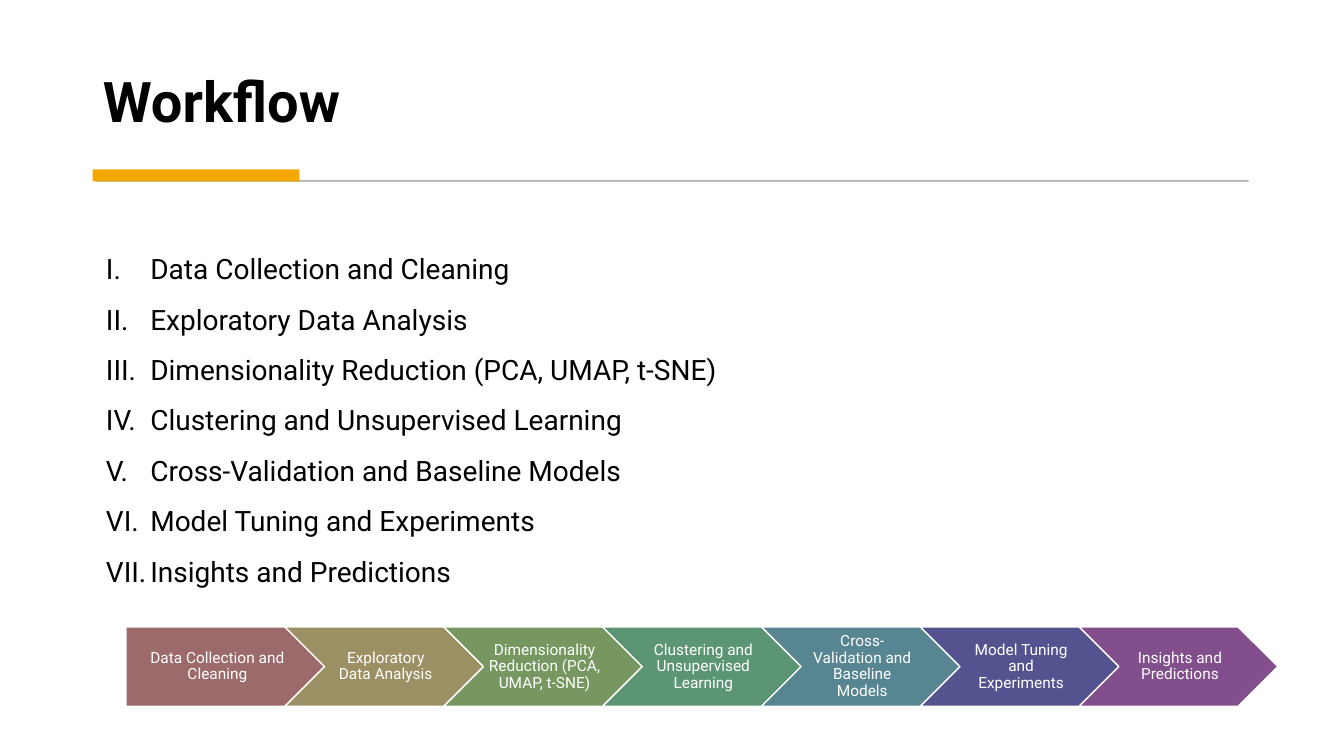
"""Build the Workflow slide: a numbered list of steps above a chain of arrows."""
import lxml.etree
import pptx
import pptx.dml.color
import pptx.enum.shapes
import pptx.enum.text
import pptx.oxml.ns
import pptx.util

STEPS = [
    ("Data Collection and Cleaning", "9C6A6A"),
    ("Exploratory Data Analysis", "9B9064"),
    ("Dimensionality Reduction (PCA, UMAP, t-SNE)", "769860"),
    ("Clustering and Unsupervised Learning", "5B9574"),
    ("Cross-Validation and Baseline Models", "578592"),
    ("Model Tuning and Experiments", "55538F"),
    ("Insights and Predictions", "824F8C"),
]
ARROW_LEFT, ARROW_PITCH = 9.38, 11.82
SHAPES = pptx.enum.shapes.MSO_SHAPE
ANCHOR = pptx.enum.text.MSO_ANCHOR
ALIGN = pptx.enum.text.PP_ALIGN
qn = pptx.oxml.ns.qn

deck = pptx.Presentation()
deck.slide_width = pptx.util.Inches(13.33)
deck.slide_height = pptx.util.Inches(7.5)
slide = deck.slides.add_slide(deck.slide_layouts[1])


def paint(color_format, hex_color):
    color_format.rgb = pptx.dml.color.RGBColor.from_string(hex_color)


def share(left, top, width, height):
    """Turn percentages of the slide into left, top, width and height."""
    across, down = deck.slide_width / 100, deck.slide_height / 100
    return [int(n) for n in (left * across, top * down, width * across, height * down)]


heading, agenda = slide.placeholders
heading.left, heading.top, heading.width, heading.height = share(6.9, 3.73, 86.2, 14.8)
heading.text_frame.text = "Workflow"
agenda.left, agenda.top, agenda.width, agenda.height = share(7.13, 30.4, 66.3, 48)
agenda.text_frame.text = "\n".join(name for name, _ in STEPS)

for block, size, spacing in ((heading, 40, 0.9), (agenda, 20, 1.5)):
    block.text_frame.auto_size = pptx.enum.text.MSO_AUTO_SIZE.NONE
    block.text_frame.vertical_anchor = ANCHOR.BOTTOM
    for line in block.text_frame.paragraphs:
        line.alignment = ALIGN.LEFT
        line.line_spacing = spacing
        line.space_before = pptx.util.Pt(0)
        font = line.runs[0].font
        font.name, font.size, font.bold = "Roboto", pptx.util.Pt(size), block is heading
        paint(font.color, "000000")

for line in agenda.text_frame.paragraphs:
    numbering = line._p.get_or_add_pPr()
    numbering.set("marL", str(pptx.util.Inches(0.44)))
    numbering.set("indent", str(-pptx.util.Inches(0.44)))
    lxml.etree.SubElement(numbering, qn("a:buAutoNum"), type="romanUcPeriod")

rule = slide.shapes.add_shape(SHAPES.RECTANGLE, *share(7.13, 23.87, 85.75, 0.13))
rule.shadow.inherit = False
rule.fill.solid()
paint(rule.fill.fore_color, "595959")
paint(rule.line.color, "595959")
rule.line.width = pptx.util.Pt(0.75)
for tint in rule._element.spPr.iter(qn("a:srgbClr")):
    lxml.etree.SubElement(tint, qn("a:alpha"), val="30000")

accent = slide.shapes.add_shape(SHAPES.RECTANGLE, *share(6.9, 22.4, 15.38, 1.6))
accent.shadow.inherit = False
accent.fill.solid()
paint(accent.fill.fore_color, "F5A700")
accent.line.fill.background()

for index, (name, color) in enumerate(STEPS):
    outline = SHAPES.CHEVRON if index else SHAPES.PENTAGON
    left = ARROW_LEFT + index * ARROW_PITCH
    arrow = slide.shapes.add_shape(outline, *share(left, 82.93, 14.78, 10.5))
    arrow.shadow.inherit = False
    arrow.fill.solid()
    paint(arrow.fill.fore_color, color)
    paint(arrow.line.color, "FFFFFF")
    arrow.line.width = pptx.util.Pt(1)
    label = arrow.text_frame
    label.text = name
    label.word_wrap = True
    label.vertical_anchor = ANCHOR.MIDDLE
    label.margin_left = pptx.util.Inches(0.05 if index else 0.06)
    label.margin_right = pptx.util.Inches(0.02)
    label.margin_top = label.margin_bottom = pptx.util.Inches(0.03)
    caption = label.paragraphs[0]
    caption.alignment = ALIGN.CENTER
    caption.line_spacing = 0.9
    font = caption.runs[0].font
    font.name, font.size = "Roboto", pptx.util.Pt(11)
    paint(font.color, "FFFFFF")

deck.save("out.pptx")
